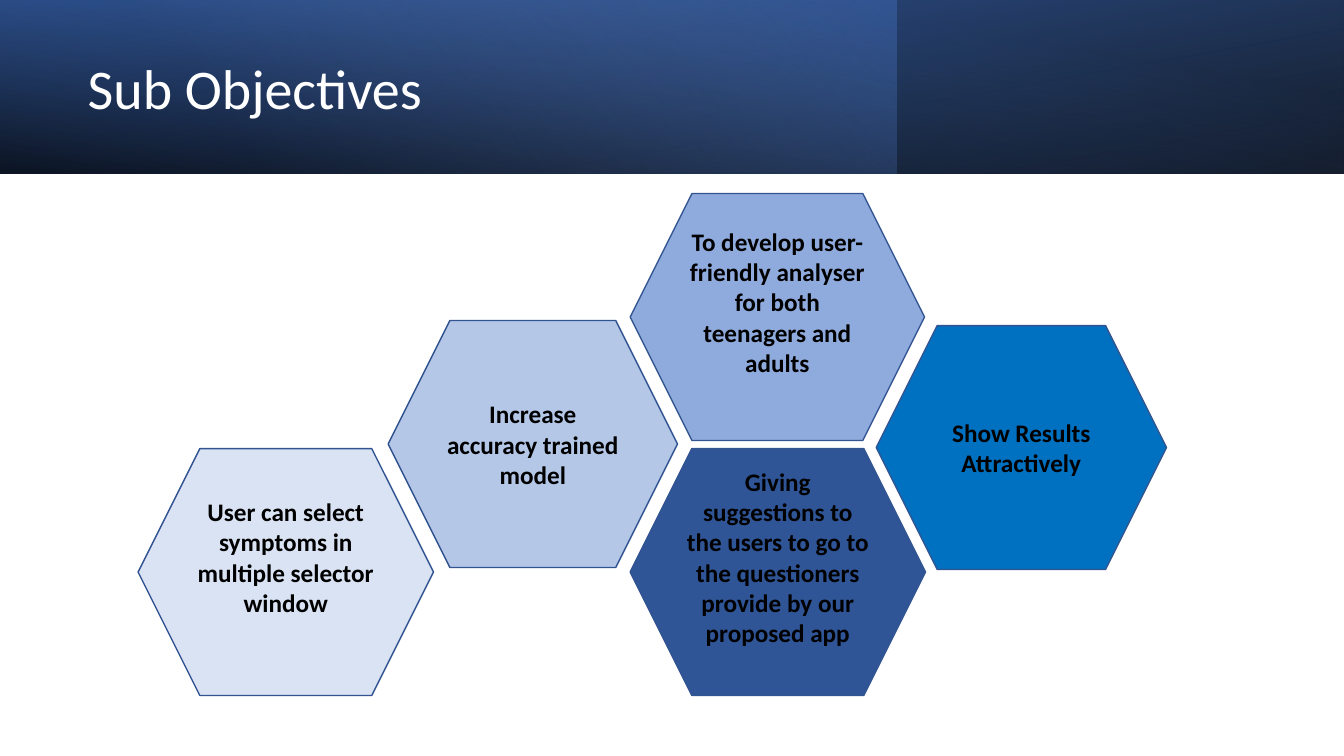
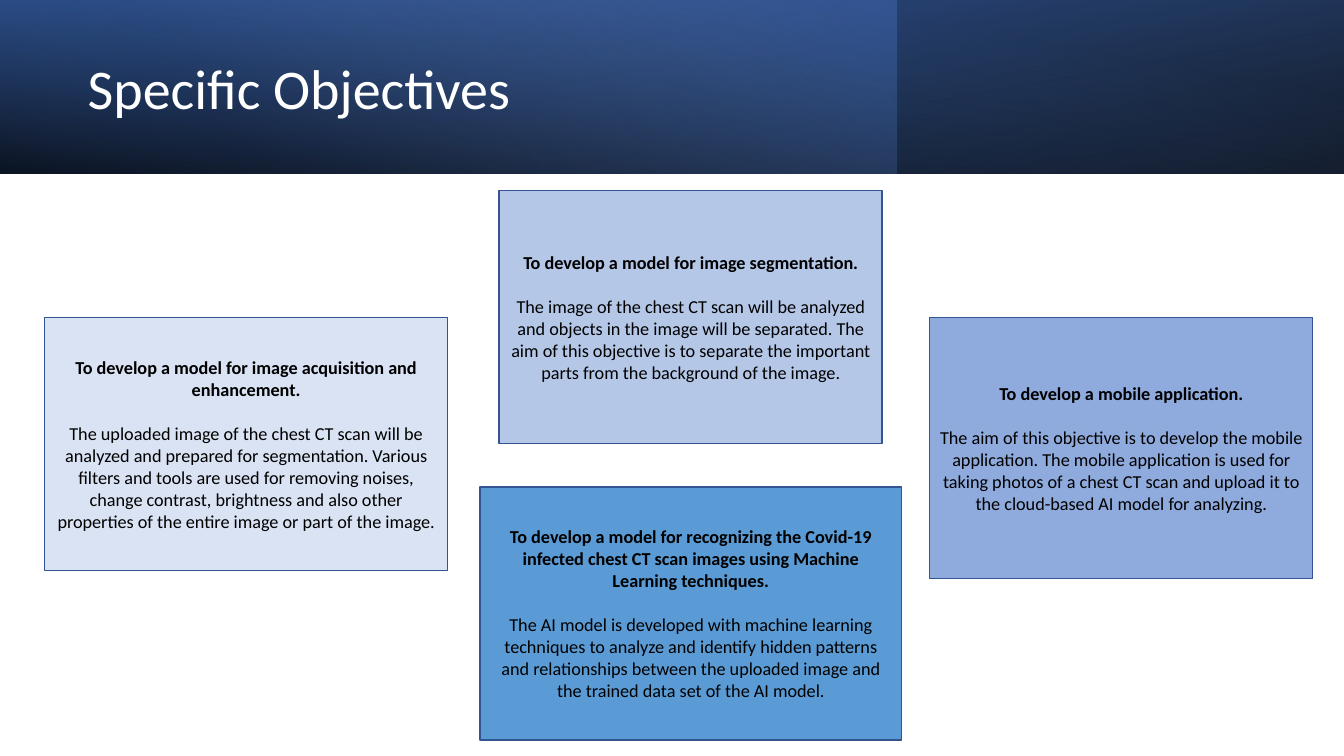
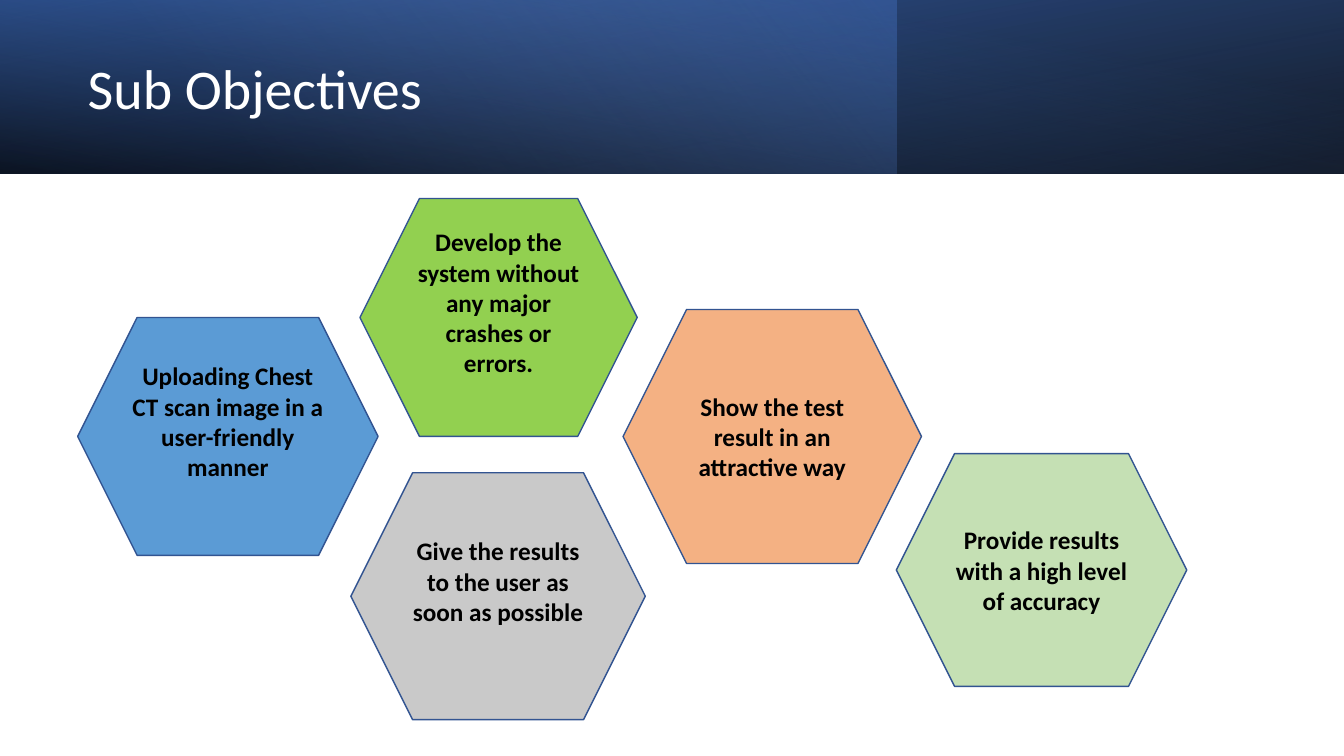
"""Build three slides of project objectives under a shared gradient band."""
from lxml import etree
from pptx import Presentation
from pptx.dml.color import RGBColor
from pptx.enum.shapes import MSO_SHAPE
from pptx.enum.text import MSO_ANCHOR, MSO_AUTO_SIZE, PP_ALIGN
from pptx.oxml.ns import qn
from pptx.util import Inches, Pt

RECT, HEX = MSO_SHAPE.RECTANGLE, MSO_SHAPE.HEXAGON
MIDDLE, LEFT, CENTER = MSO_ANCHOR.MIDDLE, PP_ALIGN.LEFT, PP_ALIGN.CENTER
NO_FIT = MSO_AUTO_SIZE.NONE

FONT = "Calibri"
BLACK, WHITE, EDGE = "000000", "FFFFFF", "325491"
WIDTH, HEIGHT, BAND = 13.33, 7.5, 1.72
TITLE = (0.77, 0.27, 7.72, 1.27)
INSET, LIFT = 0.05, 0.3

# width, turn, flip, angle, stops of (position, colour, opacity)
BANDS = [
    (WIDTH, 180, True, 100, [(0, BLACK, 96), (100, "2F5597", 100)]),
    (8.89, 0, False, 140, [(0, "4472C4", 41), (74, "8FAADC", 0)]),
    (WIDTH, 0, True, 260, [(0, BLACK, 63), (78, "4472C4", 15)]),
]

# box, fill, raised text, paragraphs
AIMS = [
    ((8.69, 3.23, 2.88, 2.42), "0070C0", False, ["Show Results Attractively"]),
    ((3.85, 3.18, 2.87, 2.45), "B4C7E7", False,
     ["Increase accuracy trained model"]),
    ((6.25, 1.92, 2.92, 2.45), "8FAADC", True,
     ["To develop user-friendly analyser for both teenagers and adults"]),
    ((1.37, 4.45, 2.93, 2.45), "DAE3F3", True,
     ["User can select symptoms in multiple selector window"]),
    ((6.25, 4.45, 2.93, 2.45), "2F5597", True,
     ["Giving suggestions to the users to go to the questioners "
      "provide by our proposed app"]),
]
MODELS = [
    ((0.44, 3.15, 4, 2.51), "DAE3F3", False,
     ["To develop a model for image acquisition and enhancement.",
      "The uploaded image of the chest CT scan will be analyzed and prepared "
      "for segmentation. Various filters and tools are used for removing "
      "noises, change contrast, brightness and also other properties of the "
      "entire image or part of the image."]),
    ((4.95, 1.89, 3.8, 2.51), "B4C7E7", False,
     ["To develop a model for image segmentation.",
      "The image of the chest CT scan will be analyzed and objects in the "
      "image will be separated. The aim of this objective is to separate the "
      "important parts from the background of the image."]),
    ((9.22, 3.15, 3.8, 2.59), "8FAADC", False,
     ["To develop a mobile application.",
      "The aim of this objective is to develop the mobile application. The "
      "mobile application is used for taking photos of a chest CT scan and "
      "upload it to the cloud-based AI model for analyzing."]),
    ((4.76, 4.83, 4.18, 2.51), "5B9BD5", False,
     ["To develop a model for recognizing the Covid-19 infected chest CT scan "
      "images using Machine Learning techniques.",
      "The AI model is developed with machine learning techniques to analyze "
      "and identify hidden patterns and relationships between the uploaded "
      "image and the trained data set of the AI model."]),
]
GOALS = [
    ((0.77, 3.15, 2.98, 2.36), "5B9BD5", True,
     ["Uploading Chest CT scan image in a user-friendly manner"]),
    ((3.57, 1.97, 2.75, 2.36), "92D050", True,
     ["Develop the system without any major crashes or errors."]),
    ((3.48, 4.69, 2.92, 2.45), "C9C9C9", True,
     ["Give the results to the user as soon as possible"]),
    ((6.18, 3.07, 2.96, 2.52), "F4B183", False,
     ["Show the test result in an attractive way"]),
    ((8.89, 4.5, 2.88, 2.31), "C5E0B4", False,
     ["Provide results with a high level of accuracy"]),
]
SLIDES = [
    ("Sub Objectives", HEX, 18, AIMS),
    ("Specific Objectives", RECT, 13, MODELS),
    ("Sub Objectives", HEX, 18, GOALS),
]


def color(code):
    return RGBColor.from_string(code)


def style(para, size, ink, bold, align):
    para.alignment = align
    font = para.font
    font.name, font.size, font.bold = FONT, Pt(size), bold
    font.color.rgb = color(ink)


def add_band(slide, width, turn, flip, angle, stops):
    band = slide.shapes.add_shape(RECT, 0, 0, Inches(width), Inches(BAND))
    band.shadow.inherit = False
    band.line.fill.background()
    band.rotation = turn
    props = band.element.spPr
    if flip:
        props.xfrm.set("flipH", "1")
    band.fill.gradient()
    band.fill.gradient_angle = 360 - angle
    for stop, (place, code, _) in zip(band.fill.gradient_stops, stops):
        stop.position = place / 100
        stop.color.rgb = color(code)
    for node, (_, _, alpha) in zip(props.iter(qn("a:srgbClr")), stops):
        etree.SubElement(node, qn("a:alpha")).set("val", str(alpha * 1000))


def add_title(slide, text):
    title = slide.shapes.title
    title.left, title.top, title.width, title.height = map(Inches, TITLE)
    slide.shapes.element.append(title.element)
    frame = title.text_frame
    frame.text = text
    frame.auto_size, frame.vertical_anchor = NO_FIT, MIDDLE
    para = frame.paragraphs[0]
    para.line_spacing = 0.9
    style(para, 40, WHITE, False, LEFT)


def add_card(slide, kind, size, box, fill, raised, texts):
    card = slide.shapes.add_shape(kind, *map(Inches, box))
    card.shadow.inherit = False
    card.fill.solid()
    card.fill.fore_color.rgb = color(fill)
    card.line.color.rgb = color(EDGE)
    card.line.width = Pt(1)
    frame = card.text_frame
    frame.word_wrap, frame.vertical_anchor = True, MIDDLE
    frame.margin_bottom = Inches(INSET + LIFT * raised)
    for i, text in enumerate(texts):
        para = frame.add_paragraph() if i else frame.paragraphs[0]
        para.text = text
        if i:
            para.space_before = Pt(16)
        style(para, size, BLACK, i == 0, CENTER)


def main():
    deck = Presentation()
    deck.slide_width, deck.slide_height = Inches(WIDTH), Inches(HEIGHT)
    for title, kind, size, cards in SLIDES:
        slide = deck.slides.add_slide(deck.slide_layouts[5])
        for band in BANDS:
            add_band(slide, *band)
        add_title(slide, title)
        for card in cards:
            add_card(slide, kind, size, *card)
    deck.save("out.pptx")


if __name__ == "__main__":
    main()
